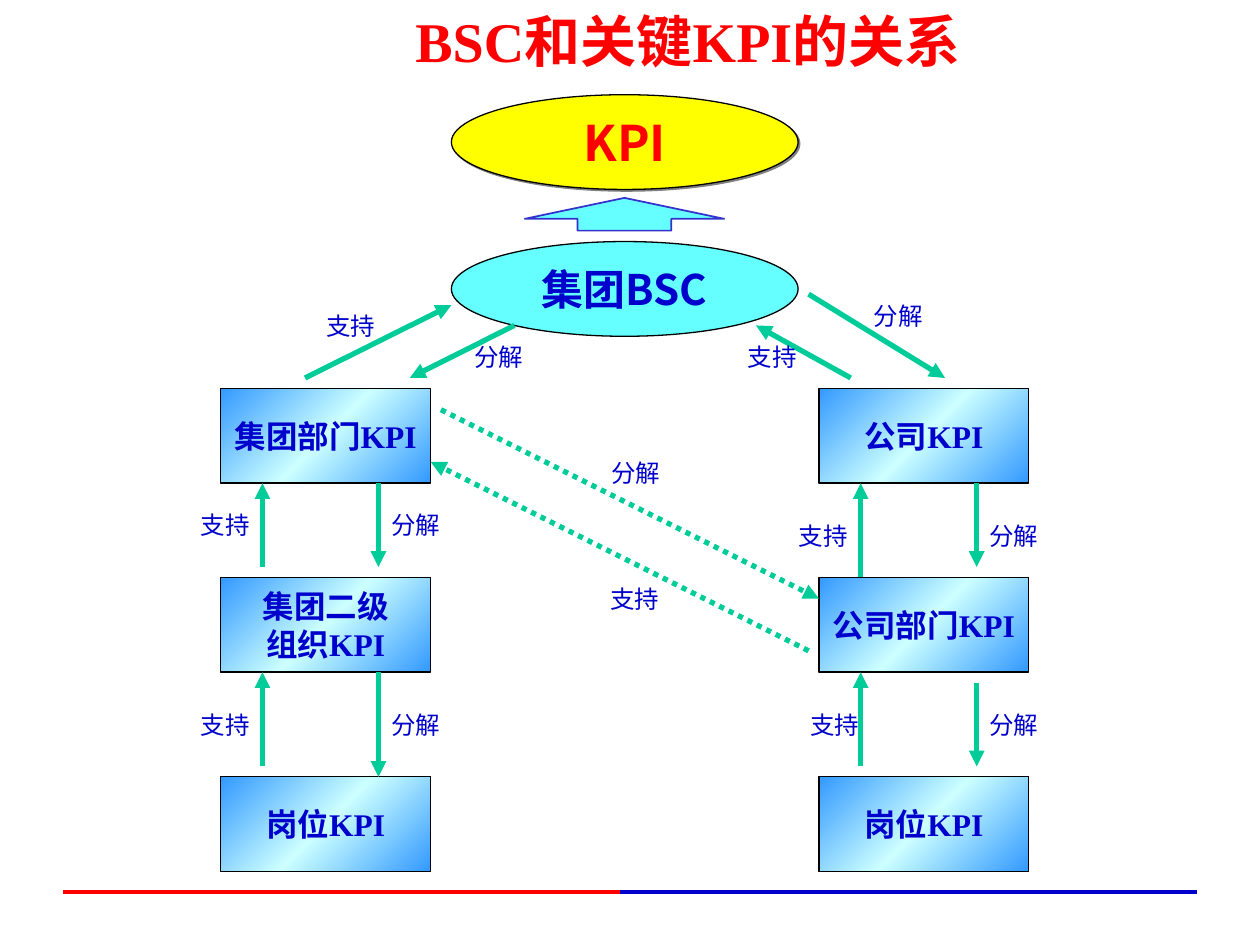
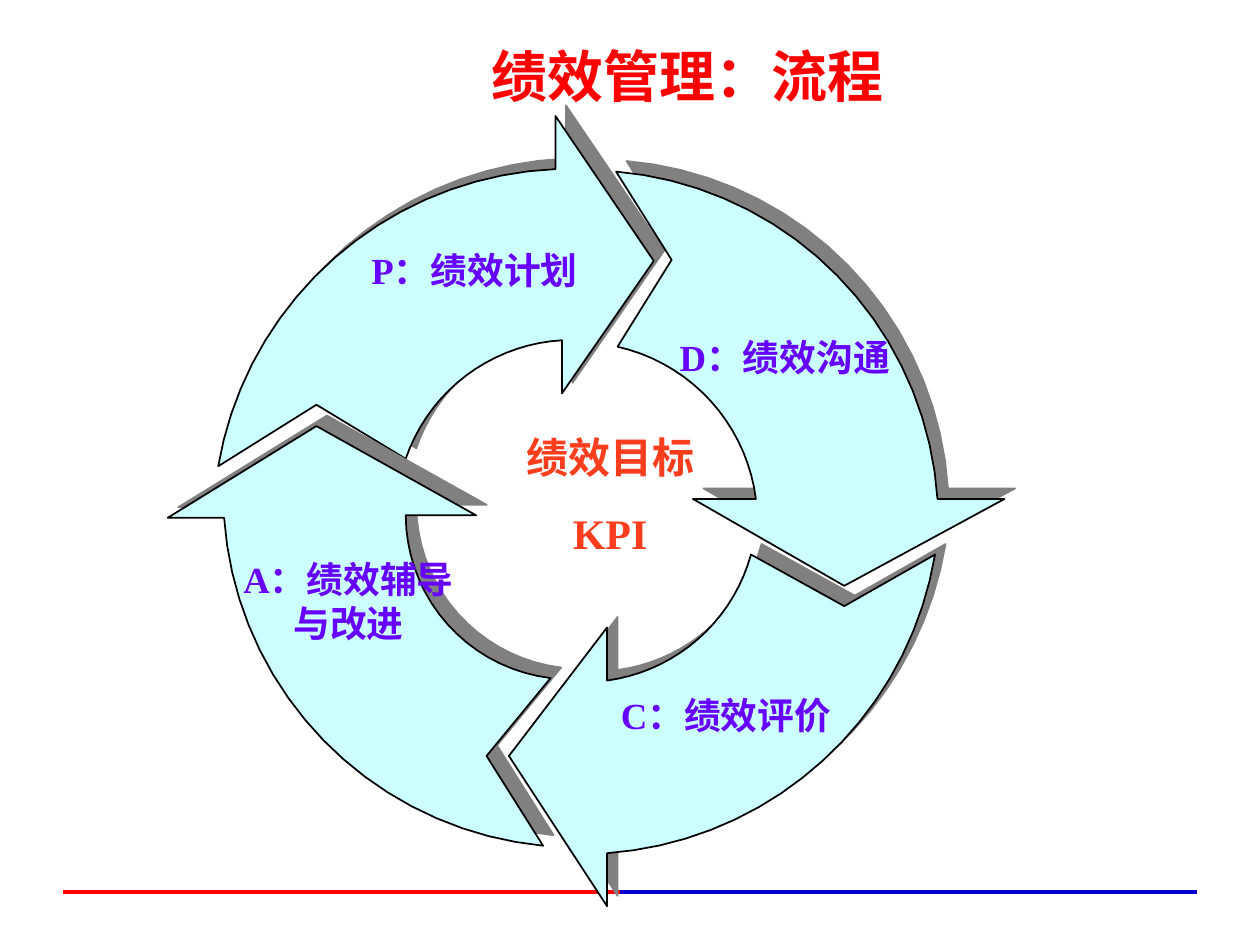
from copy import deepcopy
from dataclasses import dataclass

from lxml.etree import SubElement
from pptx import Presentation
from pptx.dml.color import RGBColor
from pptx.enum.dml import MSO_LINE
from pptx.enum.shapes import MSO_CONNECTOR, MSO_SHAPE
from pptx.enum.text import MSO_ANCHOR, PP_ALIGN
from pptx.oxml.ns import qn
from pptx.util import Cm, Pt


@dataclass(frozen=True)
class Theme:
    red: str = "FF0000"
    blue: str = "0000CC"
    green: str = "00CC99"
    yellow: str = "FFFF00"
    cyan: str = "66FFFF"
    pale: str = "CCFFFF"
    sky: str = "3399FF"
    indigo: str = "3333CC"
    violet: str = "6600FF"
    orange: str = "FC3E1E"
    black: str = "000000"
    gray: str = "808080"
    serif: str = "Times New Roman"
    sans: str = "Arial"
    chinese: str = "Noto Sans CJK SC"
    title: int = 32
    top_goal: int = 28
    goal: int = 24
    stage: int = 21
    unit: int = 18
    label: int = 14


@dataclass(frozen=True)
class Box:
    x: float
    y: float
    w: float
    h: float

    def inner(self, x, y, w, h):
        return Box(self.x + x, self.y + y, w, h)

    def lengths(self):
        return Cm(self.x), Cm(self.y), Cm(self.w), Cm(self.h)


THEME = Theme()
UNIT_WIDTH, UNIT_HEIGHT = 4.23, 1.91
UNIT_TOPS = (0, 3.81, 7.83)
LINK_X = {"支持": 0.84, "分解": 3.18}


def color(value):
    return RGBColor.from_string(value)


def add_shadow(holder, distance, angle):
    effects = SubElement(holder, qn("a:effectLst"))
    shadow = SubElement(effects, qn("a:outerShdw"), blurRad="0",
                        dist=str(Pt(distance)), dir=str(angle * 60000),
                        algn="ctr", rotWithShape="0")
    SubElement(shadow, qn("a:srgbClr"), val=THEME.gray)


def write(shape, lines, size, ink, font=THEME.serif, bold=True, wrap=False,
          align=PP_ALIGN.CENTER, anchor=MSO_ANCHOR.MIDDLE, inset=(0.25, 0.13),
          gap=0, spacing=None, shadow=False):
    frame = shape.text_frame
    frame.word_wrap = wrap
    frame.vertical_anchor = anchor
    frame.margin_left = frame.margin_right = Cm(inset[0])
    frame.margin_top = frame.margin_bottom = Cm(inset[1])
    for index, line in enumerate(lines):
        para = frame.add_paragraph() if index else frame.paragraphs[0]
        para.alignment = align
        if index and gap:
            para.space_before = Pt(gap)
        if spacing:
            para.line_spacing = spacing
        span = para.add_run()
        span.text = line
        span.font.size = Pt(size)
        span.font.bold = bold
        span.font.color.rgb = color(ink)
        properties = span._r.get_or_add_rPr()
        if shadow:
            add_shadow(properties, 2, 45)
        span.font.name = font
        SubElement(properties, qn("a:ea"), typeface=THEME.chinese)


def add_text(page, box, lines, size, ink, **style):
    write(page.shapes.add_textbox(*box.lengths()), lines, size, ink, **style)


def paint(shape, fill, edge, width):
    shape.shadow.inherit = False
    shape.fill.solid()
    shape.fill.fore_color.rgb = color(fill)
    shape.line.color.rgb = color(edge)
    shape.line.width = Pt(width)


def cast_shadow(shape, distance, angle):
    properties = shape._element.spPr
    properties.remove(properties.find(qn("a:effectLst")))
    add_shadow(properties, distance, angle)


def add_preset(page, kind, box, fill, edge=THEME.black, width=0.75):
    shape = page.shapes.add_shape(kind, *box.lengths())
    paint(shape, fill, edge, width)
    return shape


def add_line(page, start, end, ink, width, arrow=False, dotted=False):
    line = page.shapes.add_connector(
        MSO_CONNECTOR.STRAIGHT, *(Cm(value) for value in (*start, *end)))
    line.line.color.rgb = color(ink)
    line.line.width = Pt(width)
    if dotted:
        line.line.dash_style = MSO_LINE.ROUND_DOT
    properties = line._element.spPr
    if arrow:
        SubElement(properties.find(qn("a:ln")), qn("a:tailEnd"), type="triangle")
    SubElement(properties, qn("a:effectLst"))


def add_link(page, box, start, end, word, label_at, dotted=False):
    ends = [(box.x + x, box.y + y) for x, y in (start, end)]
    add_line(page, *ends, THEME.green, 3, arrow=True, dotted=dotted)
    add_text(page, box.inner(*label_at, 1.5, 0.86), [word], THEME.label,
             THEME.blue, bold=False, anchor=MSO_ANCHOR.TOP)


def add_title(page, box, text, **style):
    add_text(page, box, [text], THEME.title, THEME.red, wrap=True,
             anchor=MSO_ANCHOR.TOP, **style)


def add_footer(page, box):
    middle = box.x + 11.23
    add_line(page, (box.x, box.y), (middle, box.y), THEME.red, 2.25)
    add_line(page, (middle, box.y), (box.x + box.w, box.y), THEME.blue, 2.25)


def add_unit(page, box, lines):
    shape = add_preset(page, MSO_SHAPE.RECTANGLE, box, THEME.sky)
    shape.fill.gradient()
    shape.fill.gradient_angle = 315
    stops = shape._element.spPr.find(qn("a:gradFill")).find(qn("a:gsLst"))
    stops.append(deepcopy(stops[-1]))
    tints = (THEME.sky, THEME.pale, THEME.sky)
    for index, (stop, tint) in enumerate(zip(shape.fill.gradient_stops, tints)):
        stop.position = index / 2
        stop.color.rgb = color(tint)
    write(shape, lines, THEME.unit, THEME.blue)


def add_unit_column(page, box, units, links):
    for top, lines in zip(UNIT_TOPS, units):
        add_unit(page, box.inner(0, top, UNIT_WIDTH, UNIT_HEIGHT), lines)
    for word, start, end, label_at in links:
        x = LINK_X[word]
        add_link(page, box, (x, start), (x, end), word, label_at)


def add_goals(page, box):
    goals = (
        (2.96, "集团BSC", THEME.cyan, THEME.blue, THEME.goal),
        (0, "KPI", THEME.yellow, THEME.red, THEME.top_goal),
    )
    for top, text, fill, ink, size in goals:
        oval = add_preset(page, MSO_SHAPE.OVAL, box.inner(0, top, box.w, 1.91), fill)
        write(oval, [text], size, ink, font=THEME.chinese)
    cast_shadow(oval, 1.4, 45)
    arrow = add_preset(page, MSO_SHAPE.UP_ARROW, box.inner(1.48, 2.08, 4.02, 0.66),
                       THEME.cyan, THEME.indigo, 1)
    arrow.adjustments[0] = 0.47
    arrow.adjustments[1] = 0.64


def add_cross_links(page, box):
    links = (
        ((0, 1.69), (2.95, 0.22), "支持", (0.17, 0.22), False),
        ((4.22, 0.63), (2.11, 1.69), "分解", (3.16, 0.84), False),
        ((10.15, 0), (12.9, 1.69), "分解", (11.21, 0), False),
        ((11, 1.69), (9.09, 0.63), "支持", (8.67, 0.84), False),
        ((2.74, 2.33), (10.36, 6.14), "分解", (5.92, 3.17), True),
        ((10.15, 7.19), (2.53, 3.38), "支持", (5.9, 5.71), True),
    )
    for link in links:
        add_link(page, box, *link)


def arc(start, middle, end, steps=18):
    ratio = (end - start) / (middle - start)
    center = start + (middle - start) * (ratio - abs(ratio) ** 2) / (2j * ratio.imag)
    turn = (end - center) / (start - center)
    return [center + (start - center) * turn ** (step / steps)
            for step in range(steps + 1)]


def add_cycle_arrow(page, box, inner, head, outer, notch):
    outline = [*arc(*inner), *head, *arc(*outer), notch]
    points = [(Cm(box.x + point.real), Cm(box.y + point.imag)) for point in outline]
    builder = page.shapes.build_freeform(*points[0])
    builder.add_line_segments(points[1:], close=True)
    shape = builder.convert_to_shape()
    paint(shape, THEME.pale, THEME.black, 1)
    cast_shadow(shape, 8.5, 315)


def add_cycle(page, box):
    plan = ((4.8+6.91j, 6.02+5.23j, 7.95+4.52j),
            (7.95+5.59j, 9.8+2.92j, 7.82+0j),
            (7.82+1.07j, 3.53+2.72j, 1.02+7.06j), 3+5.82j)
    check = ((11.76+8.84j, 10.72+10.52j, 8.86+11.38j),
             (8.86+10.31j, 6.88+12.9j, 8.86+15.93j),
             (8.86+14.86j, 12.9+13.26j, 15.47+8.84j), 13.64+9.88j)
    improve = ((7.72+11.33j, 5.38+9.91j, 4.8+8.05j),
               (6.22+8.05j, 3+6.25j, 0+8.1j),
               (1.14+8.1j, 2.77+12.17j, 7.57+14.71j), 6.43+12.9j)
    discuss = ((9.07+4.65j, 10.97+5.77j, 11.86+7.72j),
               (10.59+7.72j, 13.64+9.47j, 16.87+7.72j),
               (15.52+7.72j, 13.56+3.28j, 9.04+1.12j), 10.16+2.9j)
    for arrow in (plan, check, improve, discuss):
        add_cycle_arrow(page, box, *arrow)

    stages = (
        ((1.5, 8.43, 4.29, 2.67), ["A：绩效辅导", "与改进"]),
        ((8.69, 11.63, 5.13, 0.89), ["C：绩效评价"]),
        ((4.04, 2.21, 4.29, 1.78), ["P：绩效计划"]),
    )
    for place, lines in stages:
        add_text(page, box.inner(*place), lines, THEME.stage, THEME.violet,
                 wrap=True, inset=(0, 0))
    roomy = {"wrap": True, "inset": (0.36, 0.18), "anchor": MSO_ANCHOR.TOP}
    add_text(page, box.inner(9.96, 4.22, 5.05, 2.13), ["D：绩效沟通"],
             THEME.stage, THEME.violet, align=PP_ALIGN.LEFT, **roomy)
    add_text(page, box.inner(6.2, 6.17, 5.44, 2.9), ["绩效目标", "KPI"],
             THEME.goal, THEME.orange, gap=15, **roomy)


def add_page(deck):
    page = deck.slides.add_slide(deck.slide_layouts[6])
    add_footer(page, Box(1.27, 17.98, 22.86, 0))
    return page


def build_relation_page(deck):
    page = add_page(deck)
    add_unit_column(
        page, Box(4.45, 7.83, UNIT_WIDTH, 9.74),
        (["集团部门KPI"], ["集团二级", "组织KPI"], ["岗位KPI"]),
        (("分解", 1.91, 3.6, (3.18, 2.33)),
         ("支持", 3.6, 1.91, (-0.66, 2.33)),
         ("分解", 5.72, 7.83, (3.18, 6.35)),
         ("支持", 7.62, 5.72, (-0.66, 6.35))))
    add_unit_column(
        page, Box(16.51, 7.83, UNIT_WIDTH, 9.74),
        (["公司KPI"], ["公司部门KPI"], ["岗位KPI"]),
        (("分解", 1.91, 3.6, (3.18, 2.54)),
         ("支持", 3.81, 1.91, (-0.66, 2.54)),
         ("分解", 5.93, 7.62, (3.18, 6.35)),
         ("支持", 7.62, 5.72, (-0.43, 6.35))))
    add_goals(page, Box(9.1, 1.91, 6.99, 4.87))
    add_cross_links(page, Box(6.15, 5.93, 12.9, 7.19))
    add_title(page, Box(2.34, 0, 23.06, 1.63), "BSC和关键KPI的关系")


def build_cycle_page(deck):
    page = add_page(deck)
    add_cycle(page, Box(3.38, 2.34, 16.87, 15.93))
    add_title(page, Box(5.08, 0.43, 17.58, 1.88), "绩效管理：流程",
              font=THEME.sans, spacing=1.2, shadow=True)


def main():
    deck = Presentation()
    deck.slide_width, deck.slide_height = Cm(25.4), Cm(19.05)
    build_relation_page(deck)
    build_cycle_page(deck)
    deck.save("out.pptx")


if __name__ == "__main__":
    main()
